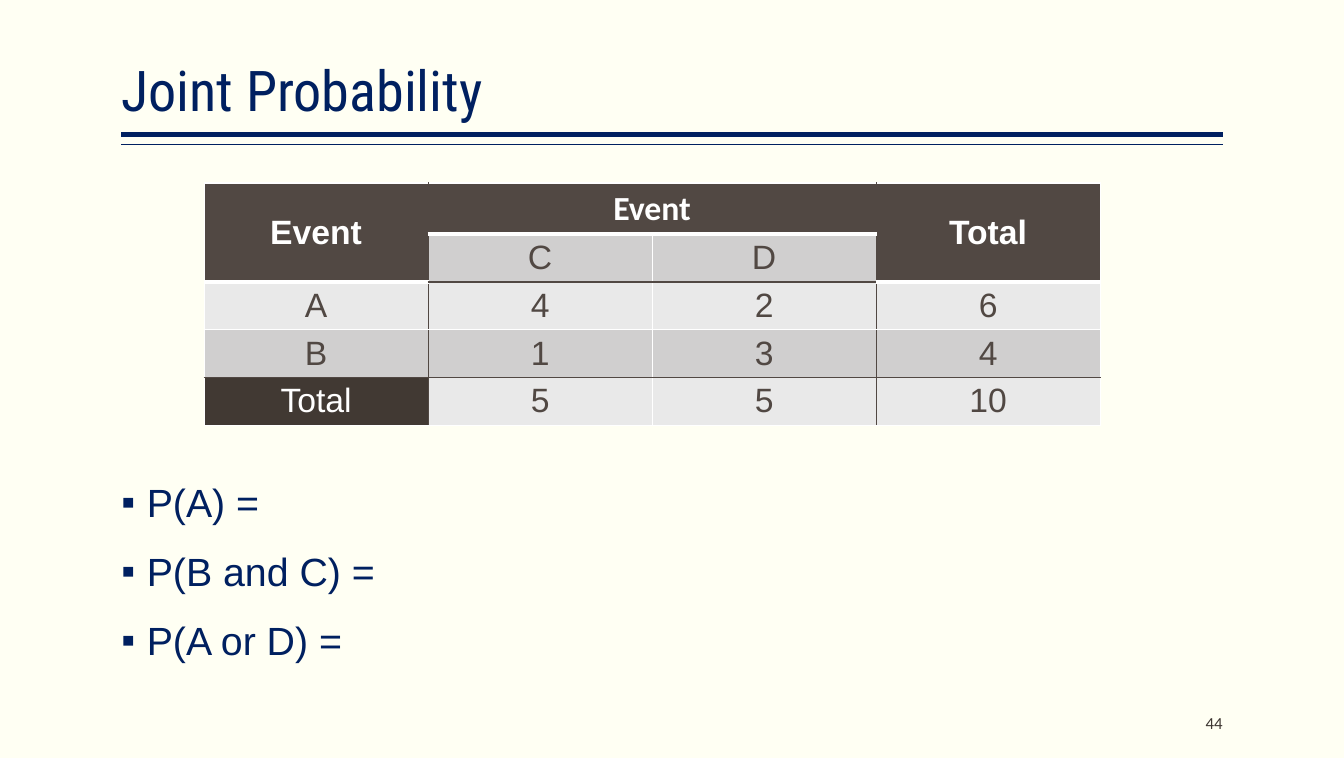
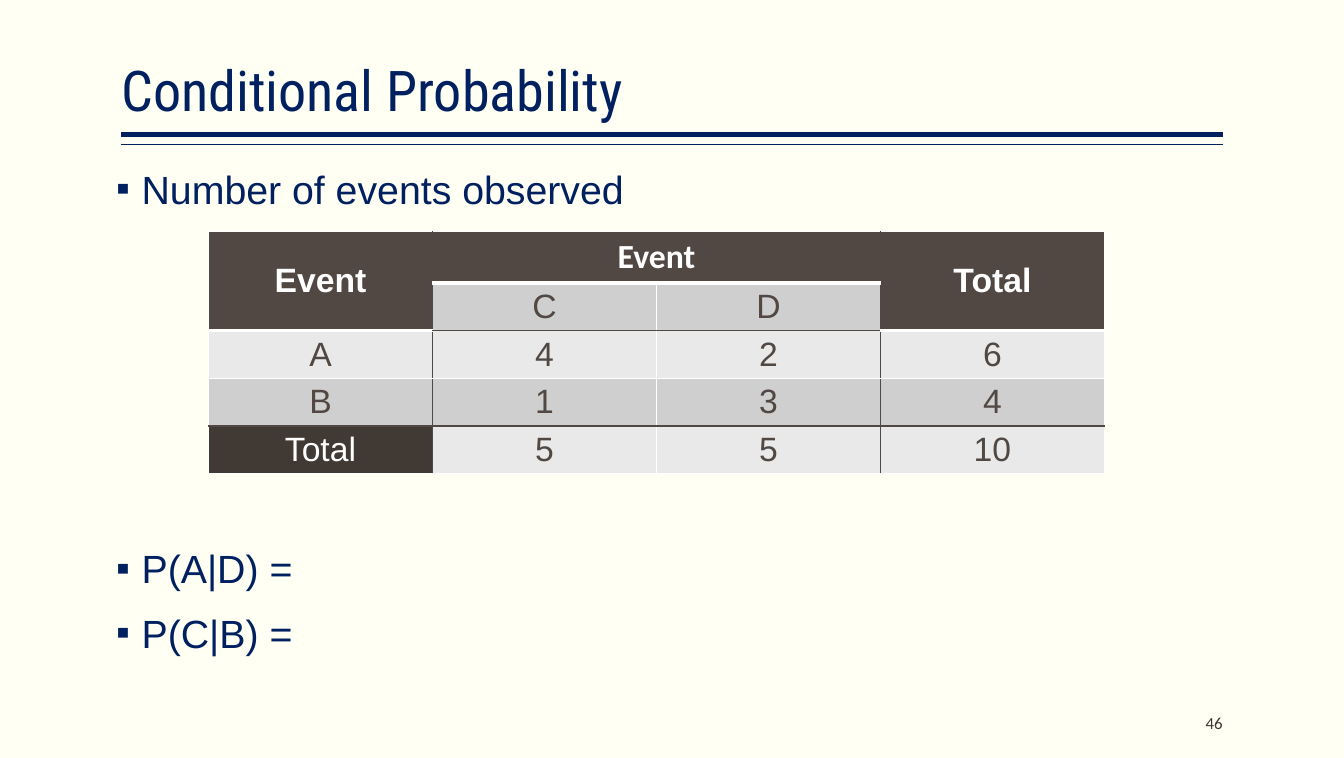
from lxml.etree import SubElement as Sub
from pptx import Presentation
from pptx.dml.color import RGBColor
from pptx.enum.shapes import MSO_CONNECTOR as Link
from pptx.enum.text import MSO_ANCHOR as Anchor, MSO_AUTO_SIZE as Auto, PP_ALIGN as Align
from pptx.oxml.ns import qn
from pptx.util import Cm, Pt

NAVY = RGBColor(0x00, 0x20, 0x60)
CREAM = RGBColor(0xFF, 0xFF, 0xF3)
WHITE = RGBColor(0xFF, 0xFF, 0xFF)
BROWN = RGBColor(0x51, 0x48, 0x43)
DARK = RGBColor(0x41, 0x39, 0x33)
GREY = RGBColor(0xD0, 0xCF, 0xCF)
PALE = RGBColor(0xE9, 0xE9, 0xE9)
INK = RGBColor(0x3D, 0x36, 0x32)

LEFT, WIDE = 3.05, 27.68
STEP = 44.9
GAP = 19
ROWS = [
    ["Event", "Event", "", "Total"],
    ["", "C", "D", ""],
    ["A", "4", "2", "6"],
    ["B", "1", "3", "4"],
    ["Total", "5", "5", "10"],
]
FILLS = [BROWN, GREY, PALE, GREY, PALE]


def place(shape, box):
    shape.left, shape.top, shape.width, shape.height = map(Cm, box)


def style(para, size, face, color, bold=False):
    for run in para.runs:
        font = run.font
        font.size, font.name, font.bold = Pt(size), face, bold
        font.color.rgb = color


def setup(frame, anchor):
    frame.word_wrap = True
    frame.auto_size = Auto.NONE
    frame.vertical_anchor = anchor
    frame.margin_left = frame.margin_right = 0
    frame.margin_top = frame.margin_bottom = Cm(0.13)


def add_head(slide, text, box):
    title = slide.shapes.title
    place(title, box)
    frame = title.text_frame
    setup(frame, Anchor.BOTTOM)
    frame.text = text
    para = frame.paragraphs[0]
    para.alignment = Align.LEFT
    para.line_spacing = 0.9
    style(para, 40, "Roboto Condensed", NAVY)
    x, y, width, height = box
    for drop, weight in ((0.13, 3), (0.38, 1)):
        level = Cm(y + height + drop)
        rule = slide.shapes.add_connector(Link.STRAIGHT, Cm(x), level, Cm(x + width), level)
        rule.line.color.rgb = NAVY
        rule.line.width = Pt(weight)
        Sub(rule._element.spPr, qn("a:effectLst"))


def add_list(slide, items, box, lead):
    body = slide.placeholders[1]
    place(body, box)
    frame = body.text_frame
    setup(frame, Anchor.TOP)
    for i, (text, skip) in enumerate(items):
        para = frame.paragraphs[0] if i == 0 else frame.add_paragraph()
        para.text = text
        para.line_spacing = lead
        para.space_before = Pt(GAP + skip * STEP if i else 0)
        props = para._p.get_or_add_pPr()
        props.set("marL", str(Cm(0.64)))
        props.set("indent", str(-Cm(0.64)))
        Sub(props, qn("a:buFont")).set("typeface", "Arial")
        Sub(props, qn("a:buChar")).set("char", "▪")
        style(para, 28, "Arial", NAVY)


def across(row, col):
    middle = col in (1, 2)
    if row == 4 or (row == 2 and middle):
        return BROWN, 1
    return WHITE, 3 if row == 1 or (row == 2 and not middle) else 1


def along(col):
    return (BROWN if col in (1, 3) else WHITE), 1


def edge(cell, row, col):
    props = cell._tc.get_or_add_tcPr()
    sides = (
        ("L", along(col)),
        ("R", along(col + cell.span_width)),
        ("T", across(row, col)),
        ("B", across(row + cell.span_height, col)),
    )
    for i, (side, (color, weight)) in enumerate(sides):
        line = Sub(props, qn("a:ln" + side))
        line.set("w", str(Pt(weight)))
        Sub(Sub(line, qn("a:solidFill")), qn("a:srgbClr")).set("val", str(color))
        props.insert(i, line)


def add_grid(slide, x, y):
    count = len(ROWS)
    shape = slide.shapes.add_table(count, 4, Cm(x), Cm(y), Cm(22.52), Cm(6))
    table = shape.table
    table.first_row = table.horz_banding = False
    for line in table.columns:
        line.width = Cm(5.63)
    for line in table.rows:
        line.height = Cm(1.19)
    for first, last in (((0, 0), (1, 0)), ((0, 1), (0, 2)), ((0, 3), (1, 3))):
        table.cell(*first).merge(table.cell(*last))
    for row, texts in enumerate(ROWS):
        for col, text in enumerate(texts):
            cell = table.cell(row, col)
            if cell.is_spanned:
                continue
            head, total = row == 0, (row, col) == (4, 0)
            cell.text = text
            cell.vertical_anchor = Anchor.MIDDLE
            cell.fill.solid()
            cell.fill.fore_color.rgb = DARK if total else FILLS[row]
            edge(cell, row, col)
            para = cell.text_frame.paragraphs[0]
            para.alignment = Align.CENTER
            face = "Calibri" if (row, col) == (0, 1) else "Arial"
            style(para, 24, face, WHITE if head or total else BROWN, head)


def add_foot(slide, text, box):
    note = slide.shapes.add_textbox(*map(Cm, box))
    frame = note.text_frame
    setup(frame, Anchor.MIDDLE)
    frame.text = text
    para = frame.paragraphs[0]
    para.alignment = Align.RIGHT
    style(para, 12, "Calibri", INK)


def add_page(deck, title, items, box, lead, grid, number):
    slide = deck.slides.add_slide(deck.slide_layouts[1])
    add_head(slide, title, (LEFT, 0.2, WIDE, 3.05))
    add_list(slide, items, box, lead)
    add_grid(slide, *grid)
    add_foot(slide, number, (LEFT + WIDE - 5.08, 17.65, 5.08, 1.02))


def main():
    deck = Presentation()
    deck.slide_width, deck.slide_height = Cm(33.78), Cm(19.05)
    back = deck.slide_master.background.fill
    back.solid()
    back.fore_color.rgb = CREAM
    add_page(
        deck, "Joint Probability",
        [("P(A) =", 0), ("P(B and C) =", 0), ("P(A or D) =", 0)],
        (LEFT, 12.01, WIDE, 5), 0.9, (5.13, 4.6), "44",
    )
    add_page(
        deck, "Conditional Probability",
        [("Number of events observed", 0), ("P(A|D) =", 5), ("P(C|B) =", 0)],
        (2.92, 4.24, WIDE, 12.7), 0.8, (5.24, 5.82), "46",
    )
    deck.save("out.pptx")


if __name__ == "__main__":
    main()
